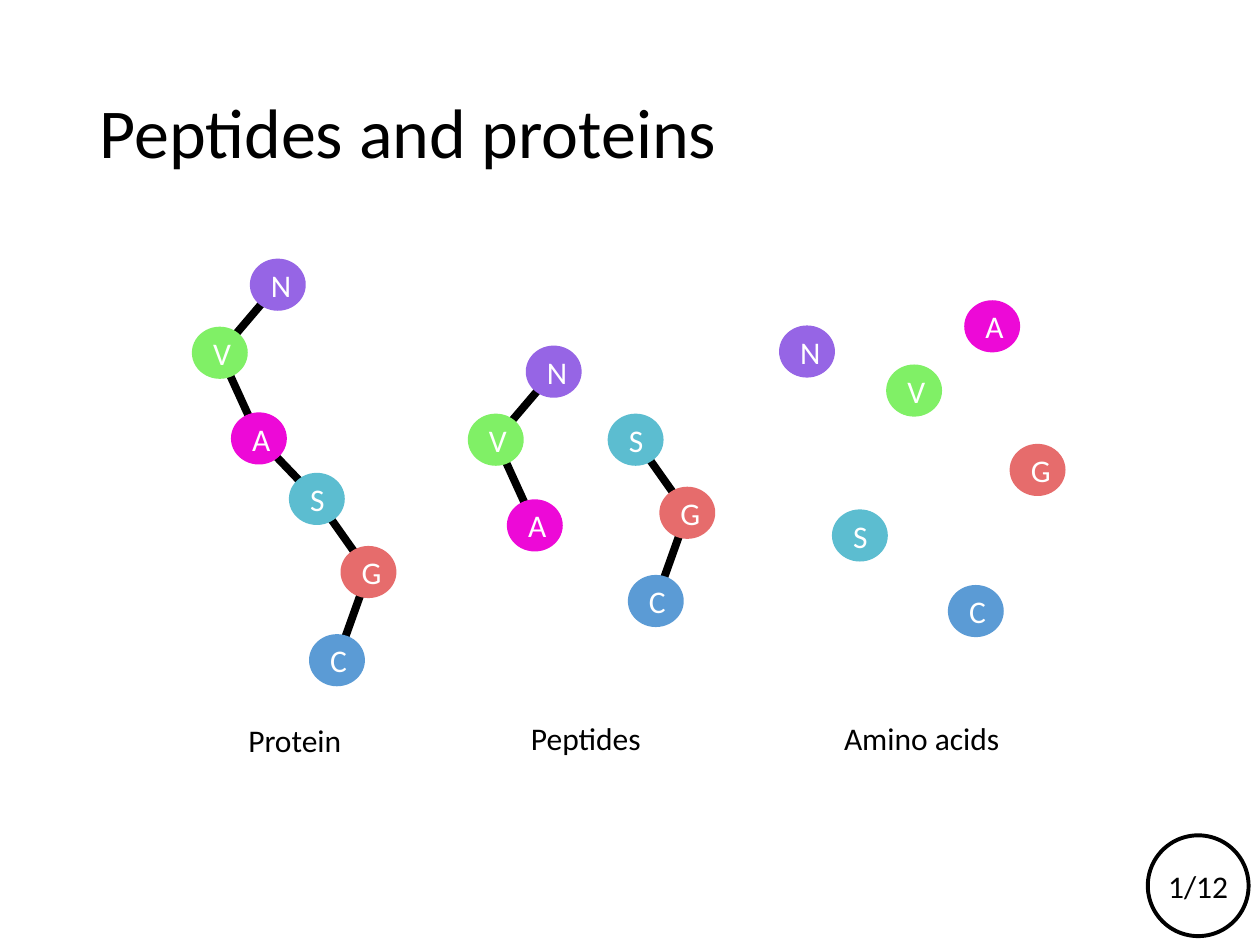
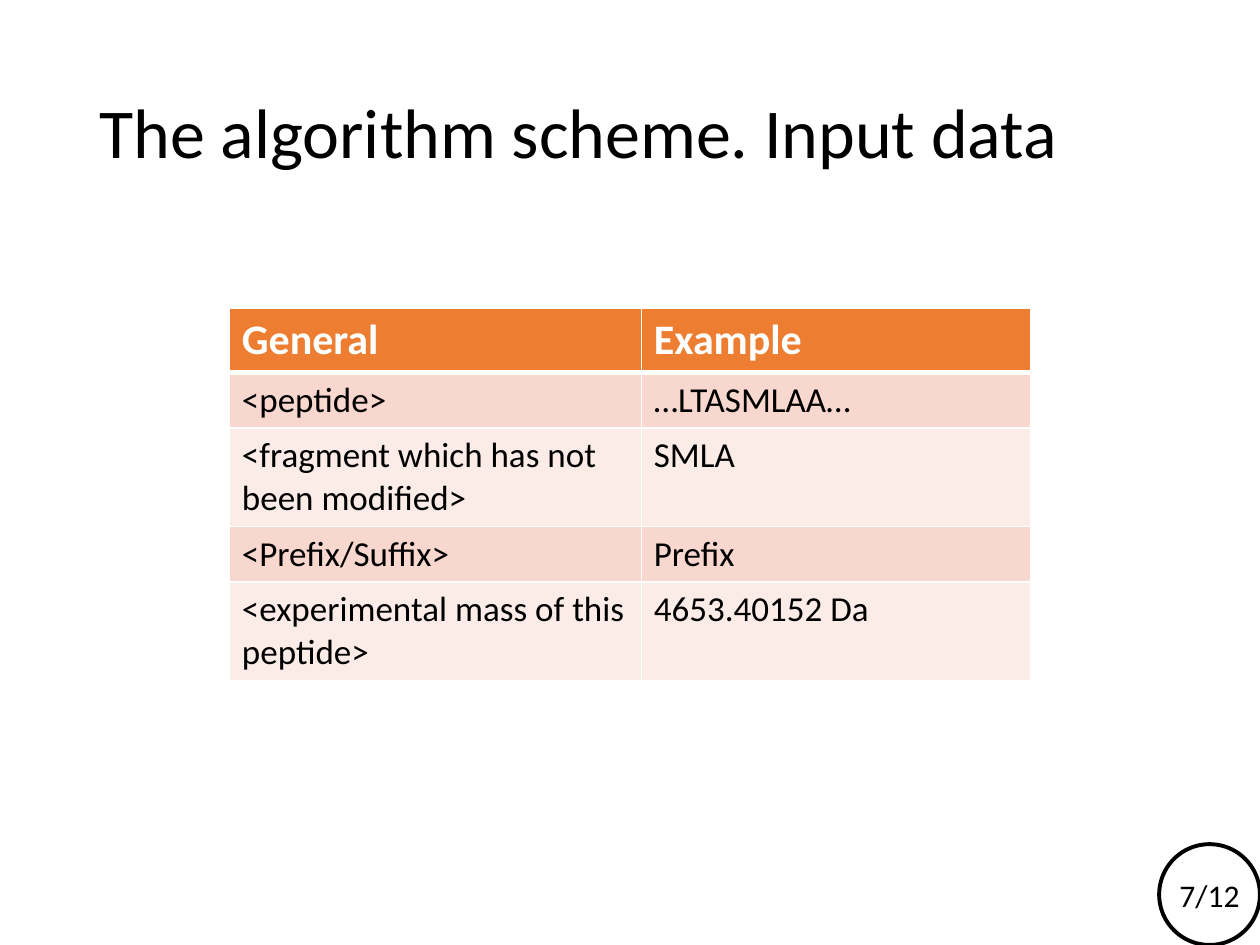
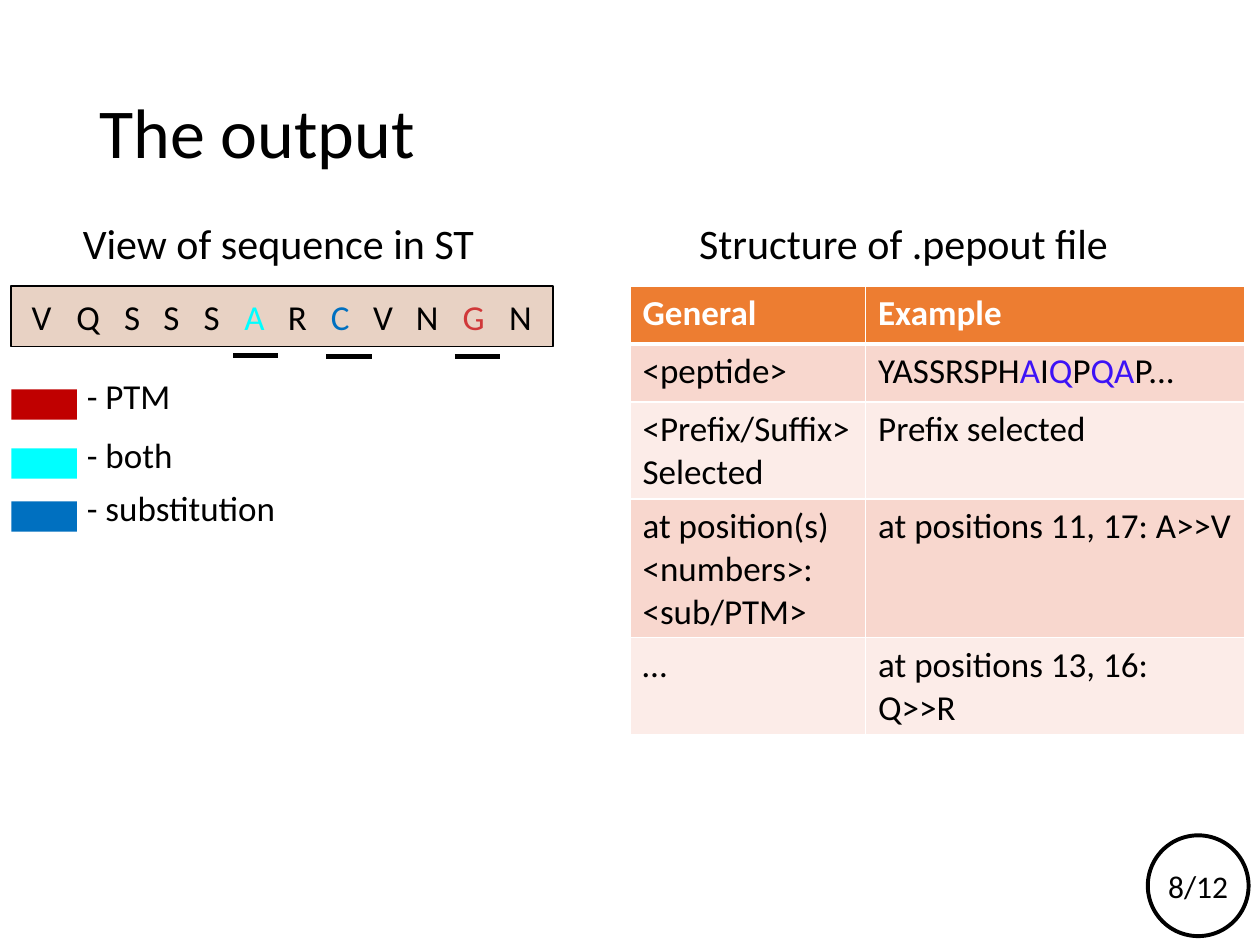
from itertools import pairwise

from lxml.etree import SubElement
from pptx import Presentation
from pptx.dml.color import RGBColor
from pptx.enum.shapes import MSO_CONNECTOR, MSO_SHAPE
from pptx.enum.text import MSO_ANCHOR, MSO_AUTO_SIZE, PP_ALIGN
from pptx.oxml.ns import qn
from pptx.util import Inches, Pt

FONT = "Calibri"
BLACK = RGBColor(0x00, 0x00, 0x00)
WHITE = RGBColor(0xFF, 0xFF, 0xFF)
ORANGE = RGBColor(0xED, 0x7D, 0x31)
BANDS = RGBColor(0xFC, 0xEC, 0xE8), RGBColor(0xF8, 0xD7, 0xCE)
SAND = RGBColor(0xE8, 0xD2, 0xC4)
CYAN = RGBColor(0x00, 0xFF, 0xFF)
BLUE = RGBColor(0x00, 0x70, 0xC0)
RED = RGBColor(0xC0, 0x00, 0x00)
ROSE = RGBColor(0xD0, 0x38, 0x39)
INDIGO = RGBColor(0x3D, 0x12, 0xF6)

ACIDS = {
    "N": RGBColor(0x96, 0x65, 0xE5),
    "V": RGBColor(0x80, 0xF0, 0x66),
    "A": RGBColor(0xED, 0x09, 0xD7),
    "S": RGBColor(0x5C, 0xBD, 0xD0),
    "G": RGBColor(0xE6, 0x6C, 0x6C),
    "C": RGBColor(0x5B, 0x9B, 0xD5),
}
BEAD_W, BEAD_H = 0.43, 0.4
FOLD = {"N": (0.46, 0), "V": (0, 0.54), "A": (0.31, 1.22),
        "S": (0.77, 1.7), "G": (1.18, 2.28), "C": (0.93, 2.98)}
LOOSE = {"N": (0, 0.2), "V": (0.85, 0.51), "A": (1.47, 0),
         "S": (0.42, 1.66), "G": (1.83, 1.14), "C": (1.34, 2.26)}

INPUT = [
    ("General", "Example"),
    ("<peptide>", "…LTASMLAA…"),
    ("<fragment which has not been modified>", "SMLA"),
    ("<Prefix/Suffix>", "Prefix"),
    ("<experimental mass of this peptide>", "4653.40152 Da"),
]
OUTPUT = [
    ("General", "Example"),
    ("<peptide>", [("YASSRSPH", BLACK), ("A", INDIGO), ("I", BLACK), ("Q", INDIGO),
                   ("P", BLACK), ("QA", INDIGO), ("P...", BLACK)]),
    ("<Prefix/Suffix> Selected", "Prefix selected"),
    ("at position(s) <numbers>: <sub/PTM>", "at positions 11, 17: A>>V"),
    ("…", "at positions 13, 16: Q>>R"),
]
LETTERS = [("V", 0.24), ("Q", 0.61), ("S", 0.96), ("S", 1.27), ("S", 1.59), ("A", 1.93),
           ("R", 2.27), ("C", 2.61), ("V", 2.95), ("N", 3.3), ("G", 3.67), ("N", 4.04)]
TINTS = {"A": CYAN, "C": BLUE, "G": ROSE}
MARKS = [(1.76, 0.55), (2.5, 0.56), (3.52, 0.56)]
LEGEND = [("- PTM", RED, 0), ("- both", CYAN, 0.47), ("- substitution", BLUE, 0.89)]


def write(frame, text, size, color=BLACK, align=PP_ALIGN.LEFT, bold=False):
    para = frame.paragraphs[0]
    para.alignment = align
    font = para.font
    font.name, font.size, font.bold = FONT, Pt(size), bold
    if isinstance(text, str):
        font.color.rgb = color
        para.add_run().text = text
        return
    for part, tint in text:
        run = para.add_run()
        run.text = part
        run.font.color.rgb = tint


def label(slide, left, top, width, height, text, size, align=PP_ALIGN.CENTER):
    box = slide.shapes.add_textbox(Inches(left), Inches(top), Inches(width), Inches(height))
    box.text_frame.word_wrap = True
    write(box.text_frame, text, size, align=align)


def block(slide, kind, left, top, width, height, fill, edge=None, weight=1):
    shape = slide.shapes.add_shape(kind, Inches(left), Inches(top), Inches(width), Inches(height))
    shape.shadow.inherit = False
    shape.fill.solid()
    shape.fill.fore_color.rgb = fill
    if edge is None:
        shape.line.fill.background()
    else:
        shape.line.color.rgb = edge
        shape.line.width = Pt(weight)
    shape.text_frame.vertical_anchor = MSO_ANCHOR.MIDDLE
    return shape


def stroke(slide, start, end, weight):
    line = slide.shapes.add_connector(MSO_CONNECTOR.STRAIGHT, *map(Inches, start + end))
    line.line.color.rgb = BLACK
    line.line.width = Pt(weight)
    SubElement(line._element.spPr, qn("a:effectLst"))


def badge(slide, left, top, number):
    disc = block(slide, MSO_SHAPE.OVAL, left, top, 0.8, 0.8, WHITE, BLACK, 2.25)
    frame = disc.text_frame
    frame.margin_left = frame.margin_right = 0
    frame.word_wrap = False
    write(frame, f"{number}/12", 18, align=PP_ALIGN.CENTER)


def page(deck, text, number, left=9.11, top=6.63):
    slide = deck.slides.add_slide(deck.slide_layouts.get_by_name("Title Only"))
    title = slide.shapes.title
    title.left, title.top, title.width, title.height = map(Inches, (0.69, 0.35, 8.62, 1.46))
    frame = title.text_frame
    frame.auto_size = MSO_AUTO_SIZE.NONE
    frame.vertical_anchor = MSO_ANCHOR.MIDDLE
    write(frame, text, 40)
    frame.paragraphs[0].line_spacing = 0.9
    badge(slide, left, top, number)
    return slide


def beads(slide, left, top, names, sites, linked=True):
    spots = [(left + sites[name][0], top + sites[name][1]) for name in names]
    if linked:
        mids = [(x + BEAD_W / 2, y + BEAD_H / 2) for x, y in spots]
        for start, end in pairwise(mids):
            stroke(slide, start, end, 4.5)
    for name, (x, y) in zip(names, spots):
        tint = ACIDS[name]
        bead = block(slide, MSO_SHAPE.OVAL, x, y, BEAD_W, BEAD_H, tint, tint)
        write(bead.text_frame, name, 18, WHITE, PP_ALIGN.CENTER)


def border(cell, **sides):
    props = cell._tc.get_or_add_tcPr()
    for side in "LRTB":
        line = SubElement(props, qn(f"a:ln{side}"), w=str(Pt(sides.get(side, 1))))
        fill = SubElement(line, qn("a:solidFill"))
        SubElement(fill, qn("a:srgbClr"), val=str(WHITE))


def grid(slide, left, top, widths, heights, rows, head):
    table = slide.shapes.add_table(
        len(rows), len(widths), Inches(left), Inches(top),
        Inches(sum(widths)), Inches(sum(heights))).table
    for column, width in zip(table.columns, widths):
        column.width = Inches(width)
    for r, (height, row) in enumerate(zip(heights, rows)):
        table.rows[r].height = Inches(height)
        for c, text in enumerate(row):
            cell = table.cell(r, c)
            border(cell, T=3 if r == 1 else 1, B=1 if r else 3)
            cell.fill.solid()
            cell.fill.fore_color.rgb = BANDS[r % 2] if r else ORANGE
            if r:
                write(cell.text_frame, text, 20)
            else:
                write(cell.text_frame, text, head, WHITE, bold=True)


def strip(slide, left, top):
    bar = block(slide, MSO_SHAPE.RECTANGLE, left, top, 4.3, 0.48, SAND, BLACK)
    frame = bar.text_frame
    frame.margin_left = frame.margin_right = 0
    stops = SubElement(frame.paragraphs[0]._p.get_or_add_pPr(), qn("a:tabLst"))
    for _, stop in LETTERS:
        SubElement(stops, qn("a:tab"), pos=str(Inches(stop)), algn="ctr")
    write(frame, [("\t" + name, TINTS.get(name, BLACK)) for name, _ in LETTERS], 20)
    for x, y in MARKS:
        stroke(slide, (left + x, top + y), (left + x + 0.36, top + y), 3)


def legend(slide, left, top):
    for text, color, drop in LEGEND:
        block(slide, MSO_SHAPE.RECTANGLE, left, top + drop + 0.17, 0.52, 0.24, color)
        label(slide, left + 0.5, top + drop, 2.01, 0.44, text, 20, PP_ALIGN.LEFT)


def peptides(deck):
    slide = page(deck, "Peptides and proteins", 1)
    beads(slide, 1.53, 2.06, "NVASGC", FOLD)
    beads(slide, 3.72, 2.75, "NVA", FOLD)
    beads(slide, 4.06, 1.59, "SGC", FOLD)
    beads(slide, 6.19, 2.39, "NVASGC", LOOSE, linked=False)
    label(slide, 1.41, 5.67, 1.86, 0.4, "Protein", 18)
    label(slide, 3.56, 5.66, 2.18, 0.4, "Peptides", 18)
    label(slide, 6.04, 5.66, 2.55, 0.4, "Amino acids", 18)


def scheme(deck):
    slide = page(deck, "The algorithm scheme. Input data", 7, 9.2, 6.7)
    grid(slide, 1.82, 2.45, (3.27, 3.09), (0.5, 0.44, 0.78, 0.44, 0.78), INPUT, 24)


def output(deck):
    slide = page(deck, "The output", 8)
    label(slide, 0.32, 1.68, 3.78, 0.5, "View of sequence in ST", 24)
    label(slide, 5.45, 1.68, 3.48, 0.5, "Structure of .pepout file", 24, PP_ALIGN.LEFT)
    strip(slide, 0.09, 2.27)
    legend(slide, 0.09, 2.92)
    grid(slide, 5, 2.27, (1.87, 3.01), (0.46, 0.46, 0.77, 1.1, 0.77), OUTPUT, 20)


def main():
    deck = Presentation()
    deck.slide_width, deck.slide_height = Inches(10), Inches(7.5)
    peptides(deck)
    scheme(deck)
    output(deck)
    deck.save("out.pptx")


if __name__ == "__main__":
    main()
